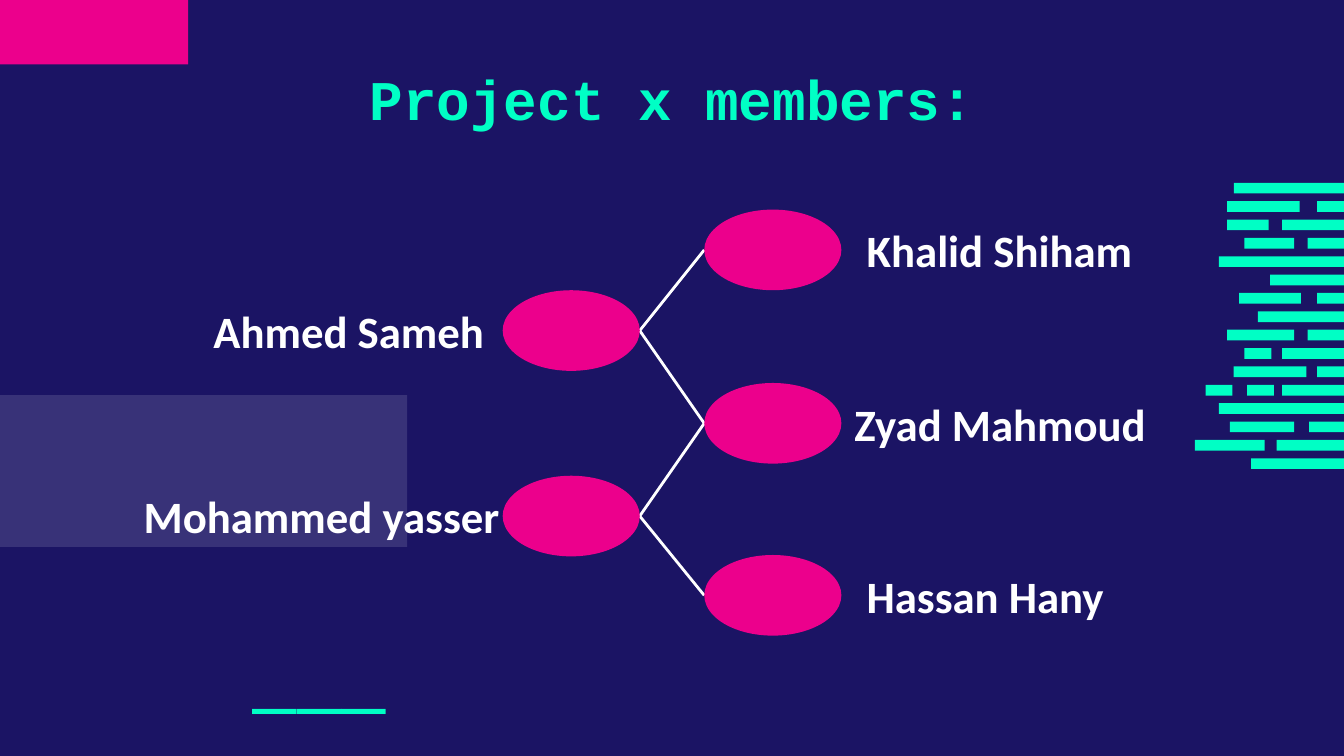
from lxml.etree import SubElement
from pptx import Presentation
from pptx.dml.color import RGBColor
from pptx.enum.shapes import MSO_CONNECTOR, MSO_SHAPE
from pptx.enum.text import MSO_ANCHOR, PP_ALIGN
from pptx.oxml.ns import qn
from pptx.util import Inches, Pt

NAVY = RGBColor(0x1B, 0x14, 0x64)
PINK = RGBColor(0xEC, 0x00, 0x8C)
MINT = RGBColor(0x00, 0xFF, 0xC5)
WHITE = RGBColor(0xFF, 0xFF, 0xFF)

SLIDE_WIDTH = 10
SLIDE_HEIGHT = SLIDE_WIDTH * 9 / 16
NODE_WIDTH, NODE_HEIGHT = 1.02, 0.6
LEFT_NODE_X, RIGHT_NODE_X = 4.25, 5.75
LABEL_HEIGHT = 0.5
BAR_TOP, BAR_PITCH, BAR_HEIGHT = 1.36, 2.05 / 15, 0.08

MEMBERS = [
    ("Khalid Shiham", RIGHT_NODE_X, 1.86, 6.35, 2.89),
    ("Ahmed Sameh", LEFT_NODE_X, 2.46, 1.49, 2.3),
    ("Zyad Mahmoud", RIGHT_NODE_X, 3.15, 6.26, 2.6),
    ("Mohammed yasser", LEFT_NODE_X, 3.84, 0.97, 3.48),
    ("Hassan Hany", RIGHT_NODE_X, 4.43, 6.35, 2.6),
]

BAR_ROWS = [
    [(9.18, 10)],
    [(9.13, 9.67), (9.8, 10)],
    [(9.13, 9.44), (9.54, 10)],
    [(9.26, 9.63), (9.73, 10)],
    [(9.07, 10)],
    [(9.45, 10)],
    [(9.22, 9.68), (9.8, 10)],
    [(9.36, 10)],
    [(9.13, 9.63), (9.73, 10)],
    [(9.26, 9.46), (9.54, 10)],
    [(9.18, 9.72), (9.8, 10)],
    [(8.97, 9.17), (9.28, 9.48), (9.54, 10)],
    [(9.07, 10)],
    [(9.15, 9.63), (9.74, 10)],
    [(8.89, 9.41), (9.5, 10)],
    [(9.31, 10)],
]


def add_filled_shape(page, kind, left, top, width, height, color, opacity=100):
    """Add a borderless shape with a solid fill and an opacity in percent."""
    shape = page.shapes.add_shape(
        kind, Inches(left), Inches(top), Inches(width), Inches(height))
    shape.shadow.inherit = False
    shape.fill.solid()
    shape.fill.fore_color.rgb = color
    shape.line.fill.background()
    if opacity < 100:
        fill_color = shape._element.spPr.find(qn("a:solidFill"))[0]
        SubElement(fill_color, qn("a:alpha"), val=str(opacity * 1000))
    return shape


def add_text(page, text, left, top, width, height, size, color,
             font="Calibri", bold=True, align=PP_ALIGN.LEFT):
    """Add a one-paragraph text box centred vertically."""
    box = page.shapes.add_textbox(
        Inches(left), Inches(top), Inches(width), Inches(height))
    frame = box.text_frame
    frame.word_wrap = True
    frame.vertical_anchor = MSO_ANCHOR.MIDDLE
    frame.margin_left = frame.margin_right = Inches(0.1)
    paragraph = frame.paragraphs[0]
    paragraph.text = text
    paragraph.alignment = align
    paragraph.font.name = font
    paragraph.font.size = Pt(size)
    paragraph.font.bold = bold
    paragraph.font.color.rgb = color
    return box


def add_link(page, start, end):
    """Add a thin white line between two points."""
    points = [Inches(value) for value in (*start, *end)]
    line = page.shapes.add_connector(MSO_CONNECTOR.STRAIGHT, *points)
    line.line.color.rgb = WHITE
    line.line.width = Pt(1.5)
    SubElement(line._element.spPr, qn("a:effectLst"))


def add_bars(page):
    """Add the rows of code-like bars along the right edge."""
    for row, bars in enumerate(BAR_ROWS):
        for start, end in bars:
            add_filled_shape(page, MSO_SHAPE.RECTANGLE, start, BAR_TOP + row * BAR_PITCH,
                             end - start, BAR_HEIGHT, MINT)


def add_member_network(page):
    """Add the zigzag of links, the nodes and the member names."""
    joints = []
    for _, center_x, center_y, _, _ in MEMBERS:
        side = 1 if center_x == LEFT_NODE_X else -1
        joints.append((center_x + side * NODE_WIDTH / 2, center_y))
    for start, end in zip(joints, joints[1:]):
        add_link(page, start, end)
    for name, center_x, center_y, label_left, label_width in MEMBERS:
        add_filled_shape(page, MSO_SHAPE.OVAL, center_x - NODE_WIDTH / 2,
                         center_y - NODE_HEIGHT / 2, NODE_WIDTH, NODE_HEIGHT, PINK)
        add_text(page, name, label_left, center_y - LABEL_HEIGHT / 2,
                 label_width, LABEL_HEIGHT, 24, WHITE)


def main():
    """Build the members slide and save it."""
    deck = Presentation()
    deck.slide_width = Inches(SLIDE_WIDTH)
    deck.slide_height = Inches(SLIDE_HEIGHT)
    page = deck.slides.add_slide(deck.slide_layouts[6])
    page.background.fill.solid()
    page.background.fill.fore_color.rgb = NAVY

    add_filled_shape(page, MSO_SHAPE.RECTANGLE, 0, 2.94, 3.03, 1.13, WHITE, opacity=13)
    add_filled_shape(page, MSO_SHAPE.RECTANGLE, 0, 0, 1.4, 0.48, PINK)
    title = add_text(page, "Project x members:", 1.4, 0.38, 7.2, 0.73, 30, MINT,
                     font="Courier New", align=PP_ALIGN.CENTER)
    title.text_frame.vertical_anchor = MSO_ANCHOR.TOP
    title.text_frame.margin_top = Inches(0.1)
    add_text(page, "___", 1.78, 4.67, 2.14, 0.58, 48, MINT, bold=False)
    add_bars(page)
    add_member_network(page)
    deck.save("out.pptx")


if __name__ == "__main__":
    main()
